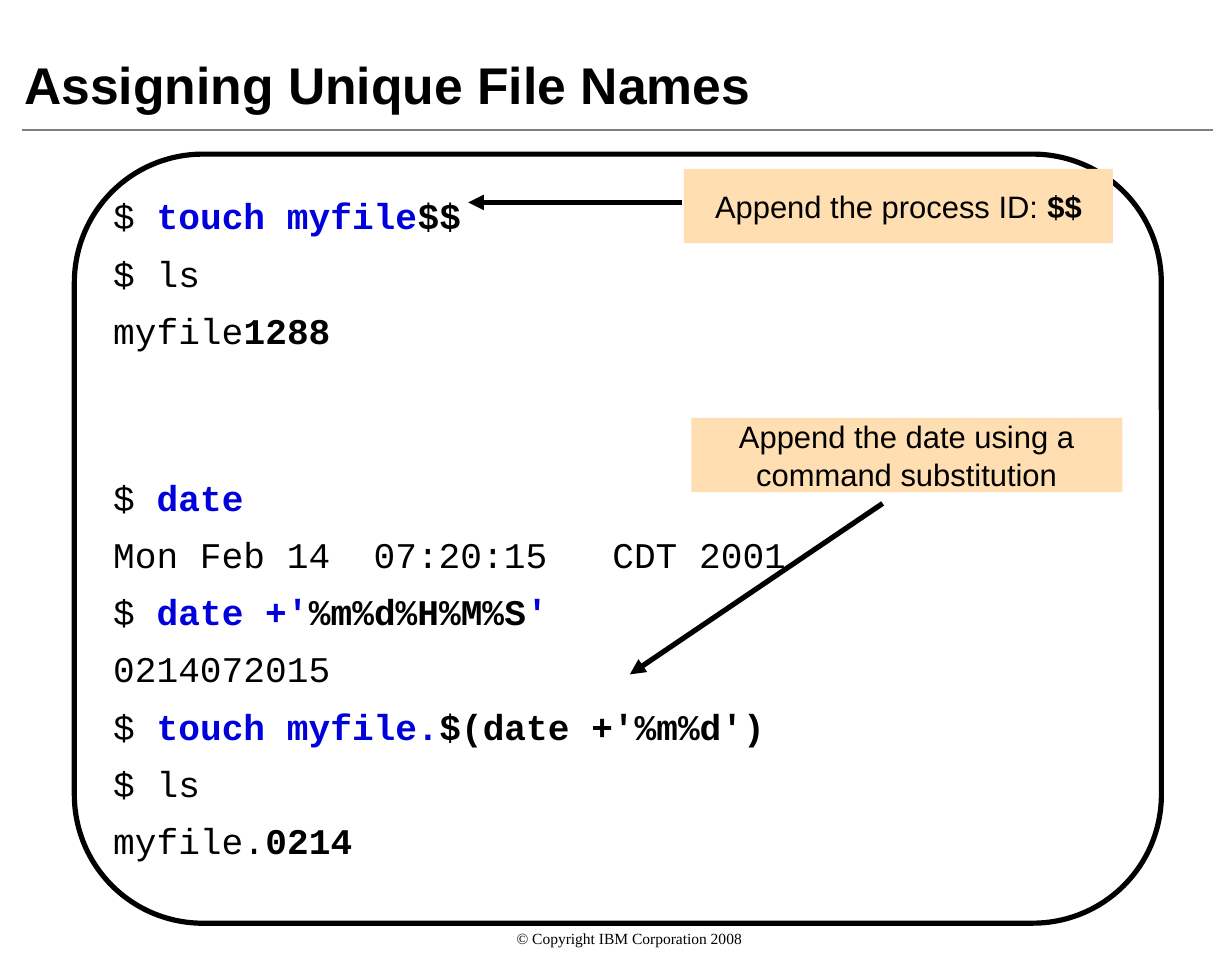
from lxml import etree
from pptx import Presentation
from pptx.dml.color import RGBColor
from pptx.enum.shapes import MSO_CONNECTOR, MSO_SHAPE
from pptx.enum.text import MSO_ANCHOR, PP_ALIGN
from pptx.oxml.ns import qn
from pptx.util import Inches, Pt

BLACK = RGBColor(0x00, 0x00, 0x00)
BLUE = RGBColor(0x00, 0x00, 0xDC)
GRAY = RGBColor(0x80, 0x80, 0x80)
PEACH = RGBColor(0xFF, 0xDE, 0xB1)
STRAIGHT = MSO_CONNECTOR.STRAIGHT
RECTANGLE = MSO_SHAPE.RECTANGLE
ROUNDED = MSO_SHAPE.ROUNDED_RECTANGLE
TOP, MIDDLE, BOTTOM = MSO_ANCHOR.TOP, MSO_ANCHOR.MIDDLE, MSO_ANCHOR.BOTTOM
LEFT, CENTER = PP_ALIGN.LEFT, PP_ALIGN.CENTER

PLAIN = (BLACK, False)
BOLD = (BLACK, True)
TYPED = (BLUE, True)

FIRST_SESSION = [
    [("$ ", PLAIN), ("touch myfile", TYPED), ("$$", BOLD)],
    [("$ ls", PLAIN)],
    [("myfile", PLAIN), ("1288", BOLD)],
]
SECOND_SESSION = [
    [("$ ", PLAIN), ("date", TYPED)],
    [("Mon Feb 14  07:20:15   CDT 2001", PLAIN)],
    [("$ ", PLAIN), ("date +'", TYPED), ("%m%d%H%M%S", BOLD), ("'", TYPED)],
    [("0214072015", PLAIN)],
    [("$ ", PLAIN), ("touch myfile.", TYPED), ("$(date +'%m%d')", BOLD)],
    [("$ ls", PLAIN)],
    [("myfile.", PLAIN), ("0214", BOLD)],
]


class SlideBuilder:
    heading_font = "Arial"
    code_font = "Courier New"
    footer_font = "Times New Roman"
    code_spacing = 1.06
    code_gap = 4.4
    session_gap = 42.4

    def __init__(self, slide):
        self.slide = slide

    def put_lines(self, shape, lines, font, size, align=LEFT, anchor=TOP, margins=(0, 0, 0, 0)):
        frame = shape.text_frame
        frame.word_wrap = True
        frame.vertical_anchor = anchor
        (frame.margin_left, frame.margin_top,
         frame.margin_right, frame.margin_bottom) = map(Inches, margins)
        for index, pieces in enumerate(lines):
            paragraph = frame.add_paragraph() if index else frame.paragraphs[0]
            paragraph.alignment = align
            for text, (color, bold) in pieces:
                run = paragraph.add_run()
                run.text = text
                run.font.name = font
                run.font.size = Pt(size)
                run.font.bold = bold
                run.font.color.rgb = color
        return frame.paragraphs

    def text(self, box, lines, font, size, **layout):
        shape = self.slide.shapes.add_textbox(*map(Inches, box))
        return self.put_lines(shape, lines, font, size, **layout)

    def terminal(self, box, first, second):
        paragraphs = self.text(box, first + second, self.code_font, 14)
        for paragraph in paragraphs:
            paragraph.line_spacing = self.code_spacing
            paragraph.space_after = Pt(self.code_gap)
        paragraphs[len(first)].space_before = Pt(self.session_gap)

    def frame(self, box, rounding):
        shape = self.slide.shapes.add_shape(ROUNDED, *map(Inches, box))
        shape.adjustments[0] = rounding
        shape.shadow.inherit = False
        shape.fill.background()
        shape.line.color.rgb = BLACK
        shape.line.width = Pt(2)

    def callout(self, box, pieces):
        shape = self.slide.shapes.add_shape(RECTANGLE, *map(Inches, box))
        shape.shadow.inherit = False
        shape.fill.solid()
        shape.fill.fore_color.rgb = PEACH
        shape.line.fill.background()
        self.put_lines(shape, [pieces], self.heading_font, 12, align=CENTER, anchor=MIDDLE)

    def line(self, start, end, color, width, arrow=False):
        connector = self.slide.shapes.add_connector(STRAIGHT, *map(Inches, start + end))
        connector.line.color.rgb = color
        connector.line.width = Pt(width)
        properties = connector._element.spPr
        if arrow:
            etree.SubElement(properties.get_or_add_ln(), qn("a:tailEnd"), type="triangle")
        etree.SubElement(properties, qn("a:effectLst"))


def main():
    presentation = Presentation()
    presentation.slide_width = Inches(6.63)
    presentation.slide_height = Inches(5.13)
    builder = SlideBuilder(presentation.slides.add_slide(presentation.slide_layouts[6]))

    builder.line((0.12, 0.7), (6.53, 0.7), GRAY, 1)
    builder.terminal((0.61, 1.03, 5.7, 3.47), FIRST_SESSION, SECOND_SESSION)
    builder.frame((0.4, 0.83, 5.85, 4.14), 0.167)
    builder.callout((3.68, 0.91, 2.31, 0.4),
                    [("Append the process ID: ", PLAIN), ("$$", BOLD)])
    builder.callout((3.72, 2.25, 2.32, 0.4),
                    [("Append the date using a command substitution", PLAIN)])
    builder.line((4.75, 2.71), (3.39, 3.63), BLACK, 2, arrow=True)
    builder.line((3.67, 1.09), (2.52, 1.09), BLACK, 2, arrow=True)
    builder.text((0.06, 0.06, 6.49, 0.59), [[("Assigning Unique File Names", BOLD)]],
                 builder.heading_font, 20, anchor=BOTTOM, margins=(0.07, 0.03, 0.07, 0.03))
    builder.text((0, 5, 6.63, 0.13), [[("© Copyright IBM Corporation 2008", PLAIN)]],
                 builder.footer_font, 6, align=CENTER, margins=(0.24, 0, 0.1, 0))

    presentation.save("out.pptx")


if __name__ == "__main__":
    main()
